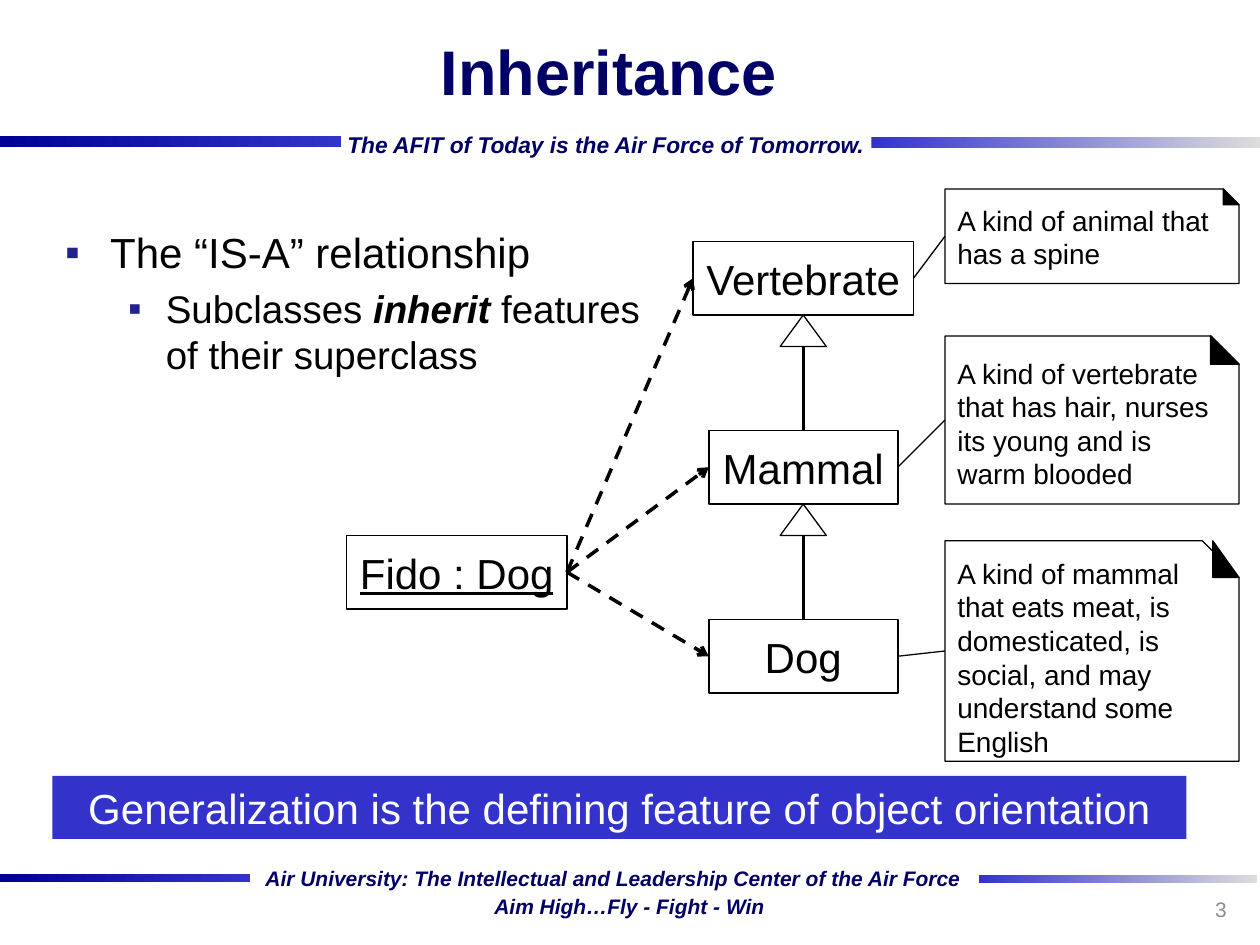
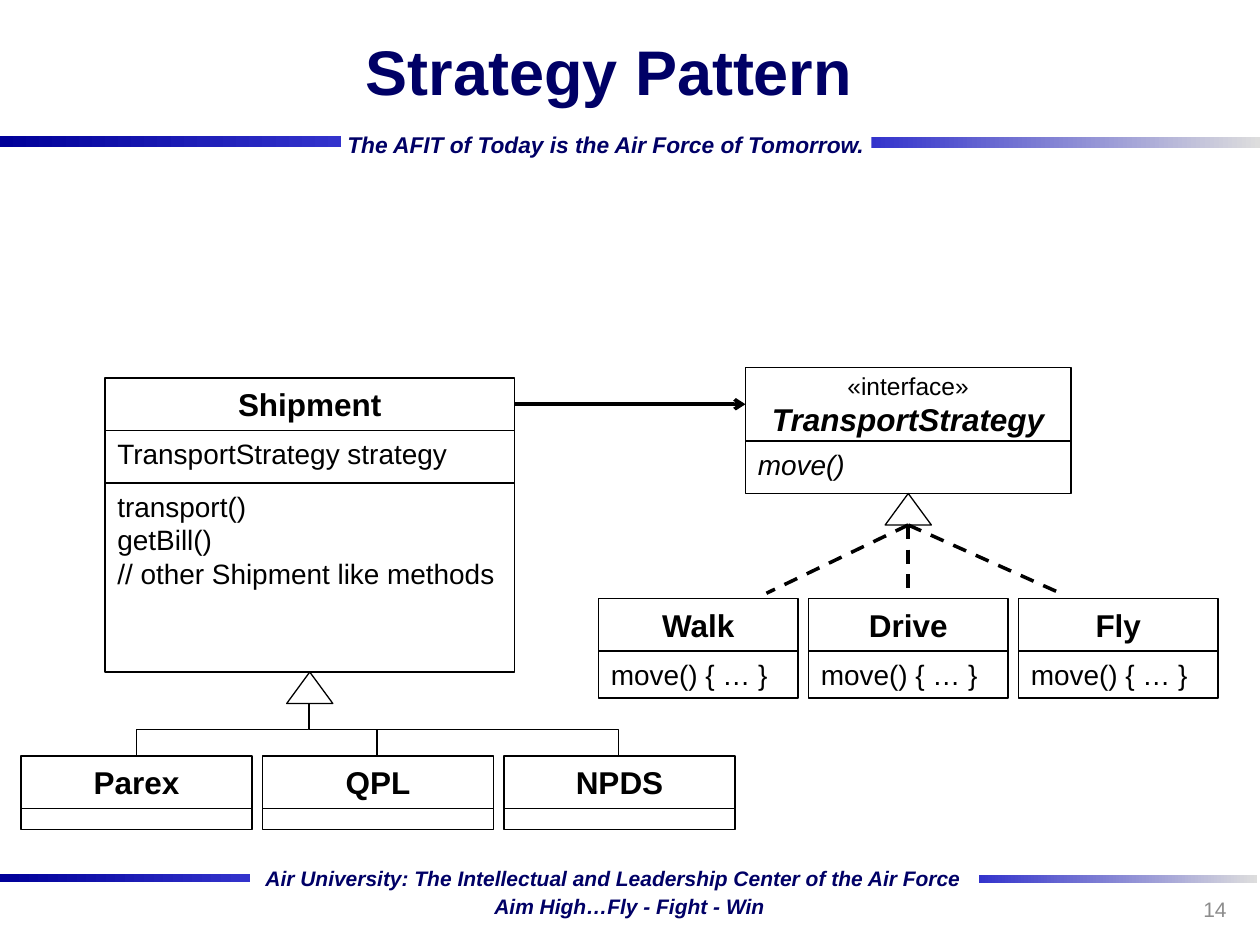
from dataclasses import dataclass

from lxml import etree
from pptx import Presentation
from pptx import util as u
from pptx.dml.color import RGBColor
from pptx.enum import dml, shapes, text
from pptx.oxml.ns import qn

PX = 7620  # EMU in one px, 120 px to the inch
FONT = "Arial"
BLACK = RGBColor(0x00, 0x00, 0x00)
WHITE = RGBColor(0xFF, 0xFF, 0xFF)
NAVY = RGBColor(0x00, 0x00, 0x66)
DEEP_BLUE = RGBColor(0x00, 0x00, 0x99)
BLUE = RGBColor(0x33, 0x33, 0xCC)
SILVER = RGBColor(0xDD, 0xDD, 0xDD)
GREY = RGBColor(0x8C, 0x8C, 0x8C)
BULLET_BLUE = "22228B"

LEFT, CENTER, RIGHT = text.PP_ALIGN.LEFT, text.PP_ALIGN.CENTER, text.PP_ALIGN.RIGHT
TOP, MIDDLE = text.MSO_ANCHOR.TOP, text.MSO_ANCHOR.MIDDLE
KIND = shapes.MSO_SHAPE
TRIANGLE_W, TRIANGLE_H = 44, 30


@dataclass(frozen=True)
class Rect:
    x: int
    y: int
    w: int
    h: int

    @property
    def center_x(self) -> int:
        return self.x + self.w // 2

    @property
    def middle_y(self) -> int:
        return self.y + self.h // 2

    @property
    def right(self) -> int:
        return self.x + self.w

    @property
    def bottom(self) -> int:
        return self.y + self.h

    def emu(self) -> list[int]:
        return [side * PX for side in (self.x, self.y, self.w, self.h)]


@dataclass(frozen=True)
class Style:
    size: float
    color: RGBColor = BLACK
    bold: bool = False
    italic: bool = False
    underline: bool = False
    align: text.PP_ALIGN = LEFT
    anchor: text.MSO_ANCHOR = TOP


@dataclass(frozen=True)
class Band:
    rect: Rect
    start: RGBColor
    end: RGBColor


@dataclass(frozen=True)
class Slogan:
    rect: Rect
    words: str
    size: int


@dataclass(frozen=True)
class Note:
    rect: Rect
    words: str
    fold_w: int
    anchor: text.MSO_ANCHOR = TOP


TITLE = Style(36, NAVY, bold=True, align=CENTER, anchor=MIDDLE)
NUMBER = Style(12, GREY, align=RIGHT, anchor=MIDDLE)
BANNER = Style(24, WHITE, align=CENTER)
LABEL = Style(24, align=CENTER, anchor=MIDDLE)
OBJECT_LABEL = Style(24, underline=True, align=CENTER, anchor=MIDDLE)
CLASS_NAME = Style(18, bold=True, align=CENTER, anchor=MIDDLE)
MEMBER = Style(16)
ABSTRACT_MEMBER = Style(16, italic=True)

BANDS = [
    Band(Rect(0, 832, 238, 8), DEEP_BLUE, BLUE),
    Band(Rect(932, 833, 265, 8), BLUE, SILVER),
    Band(Rect(830, 130, 370, 11), BLUE, SILVER),
    Band(Rect(0, 130, 325, 10), DEEP_BLUE, BLUE),
]
SLOGANS = [
    Slogan(Rect(242, 818, 691, 35),
           "Air University: The Intellectual and Leadership Center of the Air Force", 12),
    Slogan(Rect(460, 845, 283, 35), "Aim High…Fly - Fight - Win", 12),
    Slogan(Rect(320, 119, 522, 37), "The AFIT of Today is the Air Force of Tomorrow.", 13),
]


# Text
def set_font(paragraph, style: Style) -> None:
    paragraph.alignment = style.align
    font = paragraph.font
    font.name, font.size, font.color.rgb = FONT, u.Pt(style.size), style.color
    font.bold, font.italic, font.underline = style.bold, style.italic, style.underline


def write(shape, words: str, style: Style):
    frame = shape.text_frame
    frame.word_wrap = True
    frame.vertical_anchor = style.anchor
    frame.text = words
    for paragraph in frame.paragraphs:
        set_font(paragraph, style)
    return frame


def set_bullet(paragraph, left: int, hanging: int) -> None:
    props = paragraph._p.get_or_add_pPr()
    props.set("marL", str(left * PX))
    props.set("indent", str(-hanging * PX))
    color = etree.SubElement(props, qn("a:buClr"))
    etree.SubElement(color, qn("a:srgbClr"), val=BULLET_BLUE)
    etree.SubElement(props, qn("a:buFont"), typeface=FONT)
    etree.SubElement(props, qn("a:buChar"), char="▪")


# Shapes and lines
def add_box(parent, rect: Rect, kind=KIND.RECTANGLE, fill: RGBColor | None = None,
            line_pt: float = 1):
    box = parent.add_shape(kind, *rect.emu())
    box.shadow.inherit = False
    if fill is None:
        box.fill.background()
    else:
        box.fill.solid()
        box.fill.fore_color.rgb = fill
    if line_pt:
        box.line.color.rgb, box.line.width = BLACK, u.Pt(line_pt)
    else:
        box.line.fill.background()
    return box


def add_label(page, rect: Rect, words: str, style: Style) -> Rect:
    write(add_box(page.shapes, rect), words, style)
    return rect


def add_line(page, start: tuple[int, int], end: tuple[int, int], width: float,
             dashed: bool = False, arrow: bool = False, kind=shapes.MSO_CONNECTOR.STRAIGHT):
    line = page.shapes.add_connector(kind, *(side * PX for side in start + end))
    line.line.color.rgb, line.line.width = BLACK, u.Pt(width)
    if dashed:
        line.line.dash_style = dml.MSO_LINE.DASH
    props = line.element.spPr
    if arrow:
        etree.SubElement(props.find(qn("a:ln")), qn("a:tailEnd"), type="arrow")
    etree.SubElement(props, qn("a:effectLst"))
    return line


def add_branch(page, start: tuple[int, int], end: tuple[int, int]) -> None:
    """Elbow that leaves downwards, made by turning a sideways one."""
    (x1, y1), (x2, y2) = start, end
    goes_right = x2 > x1
    half_w = (y2 - y1) // 2 * (1 if goes_right else -1)
    half_h = abs(x2 - x1) // 2
    mid_x, mid_y = (x1 + x2) // 2, (y1 + y2) // 2
    line = add_line(page, (mid_x + half_w, mid_y - half_h), (mid_x - half_w, mid_y + half_h),
                    0.75, kind=shapes.MSO_CONNECTOR.ELBOW)
    turn = 270 if goes_right else 90
    line.element.spPr.find(qn("a:xfrm")).set("rot", str(turn * 60000))


def add_triangle(page, parent: Rect) -> tuple[int, int]:
    """Generalization head under a class; returns the middle of its base."""
    rect = Rect(parent.center_x - TRIANGLE_W // 2, parent.bottom, TRIANGLE_W, TRIANGLE_H)
    add_box(page.shapes, rect, KIND.ISOSCELES_TRIANGLE, line_pt=0.75)
    return rect.center_x, rect.bottom


def add_note(page, note: Note, target: Rect) -> None:
    group = page.shapes.add_group_shape()
    rect = note.rect
    sheet = add_box(group.shapes, rect, KIND.SNIP_1_RECTANGLE, WHITE, 0.75)
    frame = write(sheet, note.words, Style(16, anchor=note.anchor))
    if note.anchor == MIDDLE:
        frame.margin_top = 0
    fold = Rect(rect.right - note.fold_w, rect.y, note.fold_w, round(rect.h / 6))
    add_box(group.shapes, fold, KIND.RIGHT_TRIANGLE, BLACK, 0.75)
    add_line(page, (rect.x, rect.middle_y), (target.right, target.middle_y), 0.75)


# Shared slide parts
def add_master_parts(deck, page) -> None:
    parts = []
    for band in BANDS:
        bar = add_box(page.shapes, band.rect, line_pt=0)
        bar.fill.gradient()
        bar.fill.gradient_angle = 0
        for stop, color in zip(bar.fill.gradient_stops, (band.start, band.end)):
            stop.color.rgb = color
        parts.append(bar)
    for slogan in SLOGANS:
        box = page.shapes.add_textbox(*slogan.rect.emu())
        frame = write(box, slogan.words, Style(slogan.size, NAVY, bold=True, italic=True))
        frame.word_wrap = False
        frame.auto_size = text.MSO_AUTO_SIZE.SHAPE_TO_FIT_TEXT
        frame.margin_left = frame.margin_right = u.Inches(0.09)
        parts.append(box)
    tree = deck.slide_master.shapes.element
    for number, part in enumerate(parts):
        part.element.find(".//" + qn("p:cNvPr")).set("id", str(100 + number))
        tree.append(part.element)


def place(shape, rect: Rect) -> None:
    shape.left, shape.top, shape.width, shape.height = rect.emu()


def add_page(deck, layout: int, title: str, number: str):
    page = deck.slides.add_slide(deck.slide_layouts[layout])
    place(page.shapes.title, Rect(70, 0, 1020, 134))
    write(page.shapes.title, title, TITLE).auto_size = text.MSO_AUTO_SIZE.NONE
    write(page.shapes.add_textbox(*Rect(900, 842, 280, 48).emu()), number, NUMBER)
    return page


# Slide: Inheritance
def fill_inheritance(page) -> None:
    body = page.placeholders[1]
    place(body, Rect(50, 210, 590, 600))
    frame = body.text_frame
    frame.auto_size = text.MSO_AUTO_SIZE.NONE
    relation = frame.paragraphs[0]
    relation.text = "The “IS-A” relationship"
    relation.space_before = u.Pt(0)
    set_bullet(relation, 43, 43)
    set_font(relation, Style(24))
    detail = frame.add_paragraph()
    detail.level = 1
    detail.space_before = u.Pt(4.4)
    set_bullet(detail, 96, 36)
    set_font(detail, Style(22))
    for words, stressed in (("Subclasses ", False), ("inherit ", True),
                            ("features of their superclass", False)):
        span = detail.add_run()
        span.text = words
        span.font.bold = span.font.italic = stressed

    banner = add_box(page.shapes, Rect(50, 739, 1080, 60), fill=BLUE, line_pt=0)
    write(banner, "Generalization is the defining feature of object orientation", BANNER)

    classes = [
        add_label(page, Rect(660, 230, 210, 70), "Vertebrate", LABEL),
        add_label(page, Rect(675, 410, 180, 70), "Mammal", LABEL),
        add_label(page, Rect(675, 590, 180, 70), "Dog", LABEL),
    ]
    for parent, child in zip(classes, classes[1:]):
        add_line(page, add_triangle(page, parent), (child.center_x, child.y), 1.5)

    notes = [
        Note(Rect(900, 180, 280, 90), "A kind of animal that has a spine", 15),
        Note(Rect(900, 320, 280, 160),
             "A kind of vertebrate that has hair, nurses its young and is warm blooded", 27),
        Note(Rect(900, 515, 280, 210),
             "A kind of mammal that eats meat, is domesticated, is social, "
             "and may understand some English", 25, MIDDLE),
    ]
    fido = add_label(page, Rect(330, 510, 210, 70), "Fido : Dog", OBJECT_LABEL)
    for note, target in zip(notes, classes):
        add_note(page, note, target)
        add_line(page, (fido.right, fido.middle_y), (target.x, target.middle_y), 2,
                 dashed=True, arrow=True)


# Slide: Strategy Pattern
def fill_strategy(page) -> None:
    shipment = add_label(page, Rect(100, 360, 390, 50), "Shipment", CLASS_NAME)
    add_label(page, Rect(100, 410, 390, 50), "TransportStrategy strategy", MEMBER)
    methods = add_label(page, Rect(100, 460, 390, 180),
                        "transport()\ngetBill()\n// other Shipment like methods", MEMBER)

    strategy = Rect(710, 350, 310, 70)
    frame = write(add_box(page.shapes, strategy), "", LABEL)
    heading = frame.paragraphs[0]
    stereotype = heading.add_run()
    stereotype.text, stereotype.font.size = "«interface»", u.Pt(14)
    heading.add_line_break()
    name = heading.add_run()
    name.text, name.font.size = "TransportStrategy", u.Pt(18)
    name.font.bold = name.font.italic = True
    move = add_label(page, Rect(710, 420, 310, 50), "move()", ABSTRACT_MEMBER)
    add_line(page, (shipment.right, shipment.middle_y), (strategy.x, shipment.middle_y), 2,
             arrow=True)

    base = add_triangle(page, move)
    for column, (label, end) in enumerate(
            (("Walk", (730, 565)), ("Drive", (865, 570)), ("Fly", (1010, 565)))):
        x = 570 + 200 * column
        add_label(page, Rect(x, 570, 190, 50), label, CLASS_NAME)
        add_label(page, Rect(x, 620, 190, 45), "move() { … }", MEMBER)
        add_line(page, base, end, 2, dashed=True)

    base = add_triangle(page, methods)
    for column, carrier in enumerate(("Parex", "QPL", "NPDS")):
        rect = add_label(page, Rect(20 + 230 * column, 720, 220, 50), carrier, CLASS_NAME)
        add_box(page.shapes, Rect(rect.x, rect.bottom, rect.w, 20))
        add_branch(page, base, (rect.center_x, rect.y))


def main() -> None:
    deck = Presentation()
    deck.slide_width, deck.slide_height = 1200 * PX, 900 * PX
    inheritance = add_page(deck, 1, "Inheritance", "3")
    add_master_parts(deck, inheritance)
    fill_inheritance(inheritance)
    fill_strategy(add_page(deck, 5, "Strategy Pattern", "14"))
    deck.save("out.pptx")


if __name__ == "__main__":
    main()
